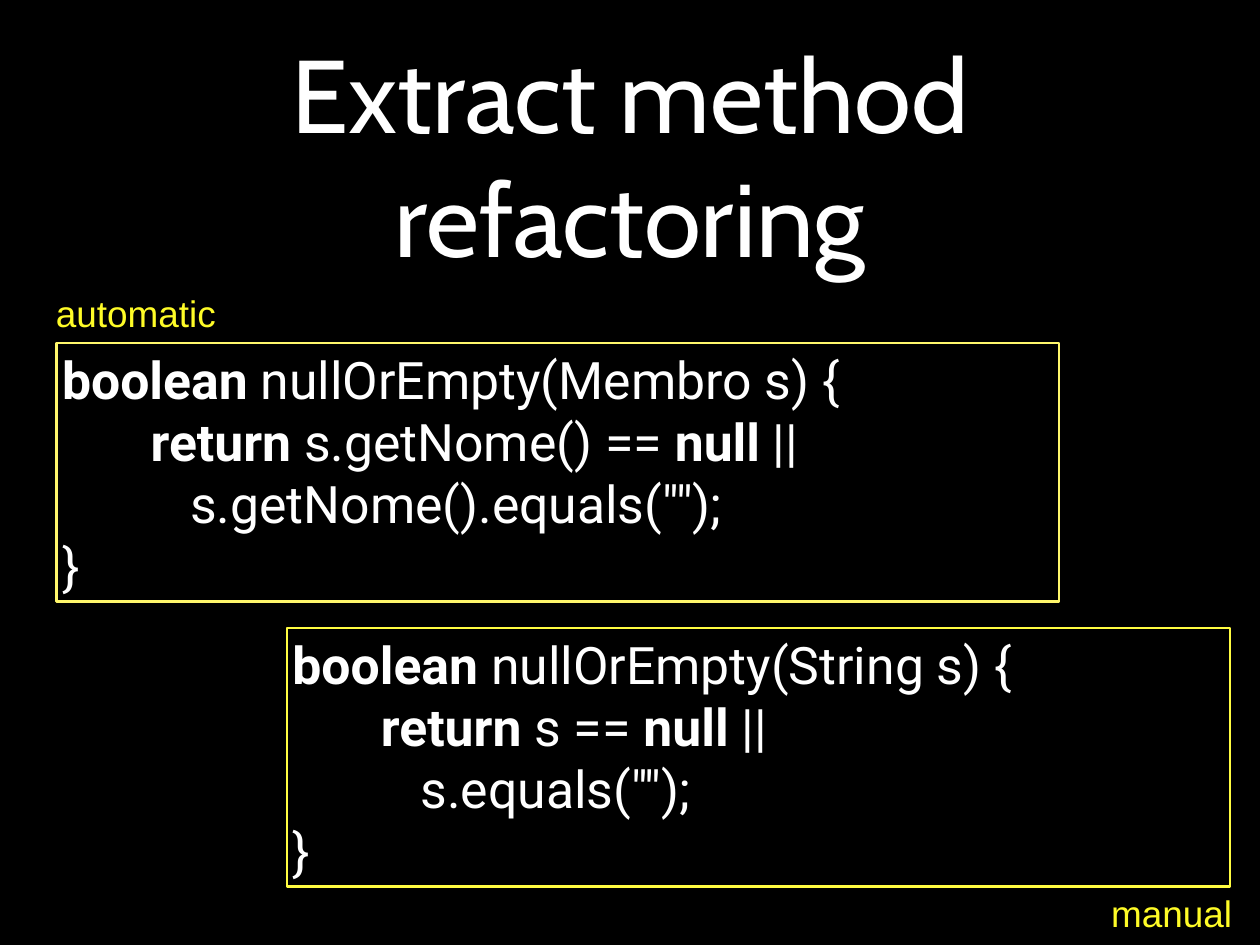
from pptx import Presentation
from pptx.dml.color import RGBColor
from pptx.enum.shapes import MSO_SHAPE as Shape
from pptx.enum.text import MSO_ANCHOR as Anchor, PP_ALIGN as Align
from pptx.oxml.ns import qn
from pptx.util import Inches, Pt
from lxml import etree

COLORS = {
    "background": "000000",
    "text": "FFFFFF",
    "label": "FEFB27",
    "automatic": "FFF76B",
    "manual": "FFFC41",
}

# Content: left, top, width, height in inches
TITLE = ("Extract method refactoring", (1.39, 0.28, 11.44, 2.93))
LABELS = [
    ("automatic", (0.57, 3.23, 1.93, 0.61)),
    ("manual", (12.48, 10, 1.49, 0.61)),
]
# Each method: frame colour, place, parameter type, tested expression
METHODS = [
    ("automatic", (0.64, 3.87, 11.31, 2.92), "Membro", "s.getNome()"),
    ("manual", (3.24, 7.09, 10.64, 2.92), "String", "s"),
]
KEYWORD = True
TAB_STEP = 0.5
INSET = Inches(0.06)


def color(name):
    return RGBColor.from_string(COLORS[name])


def code_lines(kind, value):
    """Lines of (text, is keyword) spans."""
    return [
        [("boolean", KEYWORD), (f" nullOrEmpty({kind} s) {{", False)],
        [("\t\t", False), ("return", KEYWORD), (f" {value} == ", False),
         ("null", KEYWORD), (" ||", False)],
        [(f'          {value}.equals("");', False)],
        [("}", False)],
    ]


def set_frame(box, wrap):
    frame = box.text_frame
    frame.word_wrap = wrap
    frame.vertical_anchor = Anchor.MIDDLE
    frame.margin_left = frame.margin_right = INSET
    frame.margin_top = frame.margin_bottom = INSET
    return frame


def set_font(para, name, size, tone):
    para.font.name = name
    para.font.size = Pt(size)
    para.font.color.rgb = color(tone)


def add_tabs(para):
    tabs = etree.SubElement(para._p.get_or_add_pPr(), qn("a:tabLst"))
    for stop in (1, 2):
        etree.SubElement(tabs, qn("a:tab"), pos=str(Inches(stop * TAB_STEP)), algn="l")


def add_text(page, text, place, name, size, tone, align, wrap):
    box = page.shapes.add_textbox(*map(Inches, place))
    para = set_frame(box, wrap).paragraphs[0]
    para.text = text
    para.alignment = align
    set_font(para, name, size, tone)


def add_code(page, frame_color, place, lines):
    box = page.shapes.add_shape(Shape.RECTANGLE, *map(Inches, place))
    box.shadow.inherit = False
    box.fill.background()
    box.line.color.rgb = color(frame_color)
    box.line.width = Pt(2)
    frame = set_frame(box, True)
    for index, spans in enumerate(lines):
        para = frame.add_paragraph() if index else frame.paragraphs[0]
        para.alignment = Align.LEFT
        add_tabs(para)
        set_font(para, "Roboto", 42, "text")
        for text, keyword in spans:
            span = para.add_run()
            span.text = text
            span.font.bold = keyword


def main():
    deck = Presentation()
    deck.slide_width, deck.slide_height = Inches(14.22), Inches(10.67)
    page = deck.slides.add_slide(deck.slide_layouts[6])
    page.background.fill.solid()
    page.background.fill.fore_color.rgb = color("background")

    # Title
    add_text(page, *TITLE, "Cabin", 84, "text", Align.CENTER, True)

    # Code boxes
    for frame_color, place, kind, value in METHODS:
        add_code(page, frame_color, place, code_lines(kind, value))

    # Labels
    for text, place in LABELS:
        add_text(page, text, place, "Arial", 30, "label", Align.LEFT, False)

    deck.save("out.pptx")


if __name__ == "__main__":
    main()
